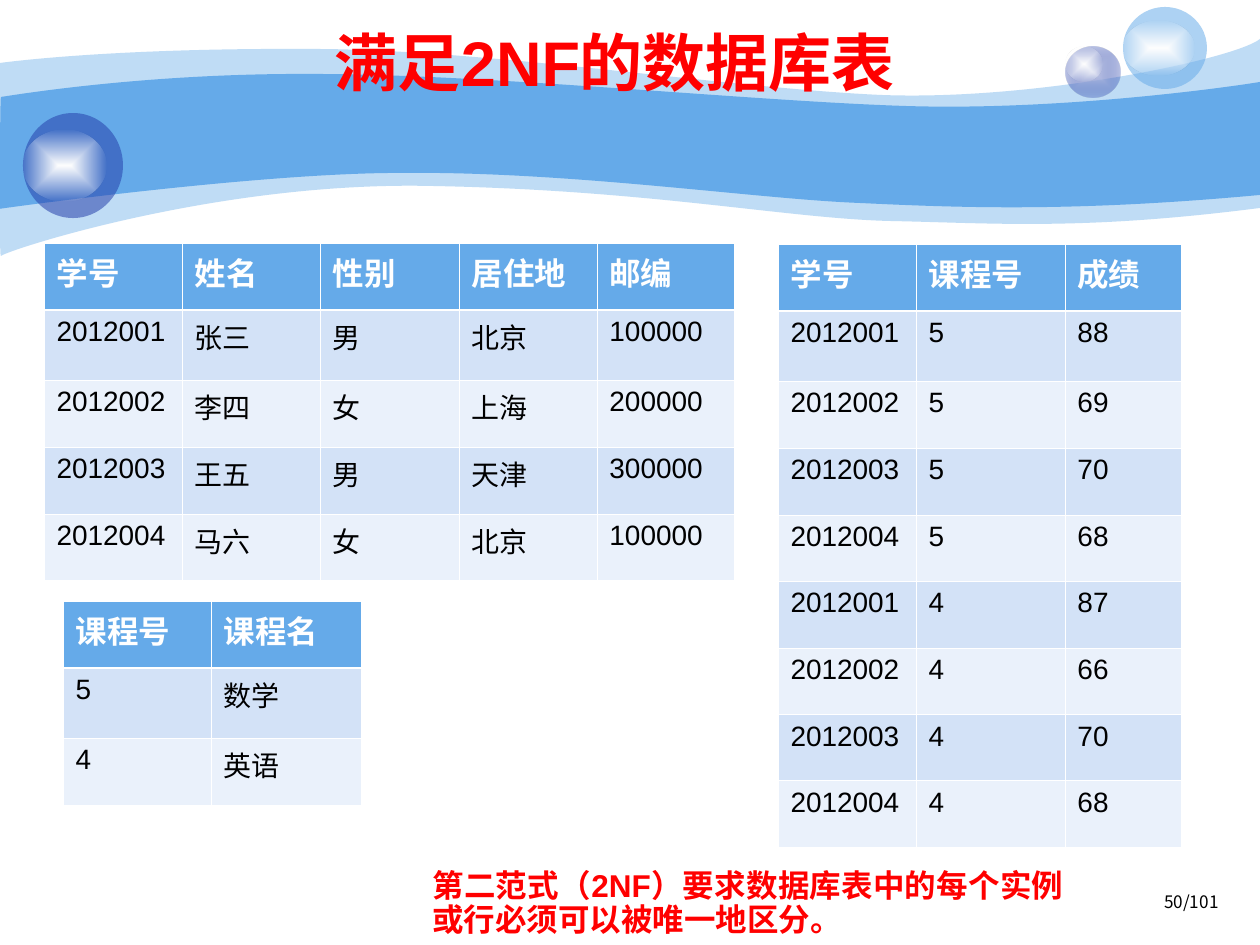
from itertools import cycle, islice

from lxml import etree
from pptx import Presentation
from pptx.dml.color import RGBColor
from pptx.enum.shapes import MSO_SHAPE as Shape
from pptx.enum.text import MSO_ANCHOR as Anchor, PP_ALIGN as Align
from pptx.oxml import parse_xml
from pptx.oxml.ns import nsdecls, qn
from pptx.util import Emu, Pt

SCALE = 914400 / 126  # EMU in one px
COLORS = {
    "sky": "65AAE9", "navy": "233DA9", "lilac": "C7CEE9", "white": "FFFFFF",
    "band_dark": "D3E2F7", "band_light": "EAF1FB", "red": "FF0000", "black": "000000",
}
CJK = "Noto Sans CJK SC"

TITLE = "满足2NF的数据库表"
NOTE = "第二范式（2NF）要求数据库表中的每个实例或行必须可以被唯一地区分。"
PAGE = "50/101"

STUDENTS = [
    ("学号", "姓名", "性别", "居住地", "邮编"),
    ("2012001", "张三", "男", "北京", "100000"),
    ("2012002", "李四", "女", "上海", "200000"),
    ("2012003", "王五", "男", "天津", "300000"),
    ("2012004", "马六", "女", "北京", "100000"),
]
COURSES = [("课程号", "课程名"), ("5", "数学"), ("4", "英语")]
SCORES = [
    ("学号", "课程号", "成绩"),
    ("2012001", "5", "88"), ("2012002", "5", "69"),
    ("2012003", "5", "70"), ("2012004", "5", "68"),
    ("2012001", "4", "87"), ("2012002", "4", "66"),
    ("2012003", "4", "70"), ("2012004", "4", "68"),
]
# Rows, left, top, column widths
TABLES = [
    (STUDENTS, 44, 243, [138, 138, 139, 138, 138]),
    (COURSES, 63, 601, [148, 150]),
    (SCORES, 778, 244, [138, 149, 116]),
]
HEADER_H, FIRST_H, ROW_HS = 67, 70, (67, 67, 66)

# Opacity, then the Bezier points of the upper edge and of the way back
WAVES = [
    (41,
     [(0, 63), (30, 59), (135, 48), (311, 49), (486, 49), (725, 88), (881, 95),
      (1036, 101), (1235, 59), (1260, 39)],
     [(1260, 208), (1081, 231), (992, 223), (888, 221), (784, 218), (649, 190),
      (432, 186), (217, 181), (5, 251), (1, 256), (-1, 262), (0, 95), (0, 63)]),
    (100,
     [(1, 97), (3, 97), (139, 73), (312, 74), (486, 74), (750, 101), (905, 106),
      (1060, 111), (1230, 87), (1260, 82)],
     [(1260, 195), (1075, 212), (964, 208), (859, 203), (755, 199), (569, 171),
      (399, 173), (256, 173), (-3, 209), (-1, 209), (0, 209), (0, 97), (1, 97)]),
]
# Ball box, its colour stops (colour, opacity), glow box
BALLS = [
    ((1066, 47, 54, 51), [("lilac", 100), ("navy", 31)], (1066, 47, 36, 35)),
    ((1123, 7, 84, 82), [("sky", 53)], (1123, 21, 71, 54)),
    ((23, 113, 100, 105), [("navy", 53)], (23, 130, 83, 71)),
]
GLOW = [("white", 100), ("white", 0)]


def px(*values):
    return [Emu(round(value * SCALE)) for value in values]


def rgb(color):
    return RGBColor.from_string(COLORS[color])


def paint(shape, stops):
    """Fill with one colour, or with a gradient from the centre outwards."""
    colors = [f'<a:srgbClr val="{COLORS[color]}"><a:alpha val="{opacity * 1000}"/></a:srgbClr>'
              for color, opacity in stops]
    if len(colors) == 1:
        xml = f'<a:solidFill {nsdecls("a")}>{colors[0]}</a:solidFill>'
    else:
        xml = (f'<a:gradFill {nsdecls("a")} rotWithShape="1"><a:gsLst>'
               f'<a:gs pos="0">{colors[0]}</a:gs><a:gs pos="100000">{colors[1]}</a:gs></a:gsLst>'
               '<a:path path="rect"><a:fillToRect l="50000" t="50000" r="50000" b="50000"/>'
               '</a:path></a:gradFill>')
    shape.shadow.inherit = False
    shape.line.fill.background()
    shape.fill.background()
    properties = shape.fill._xPr
    properties.replace(properties.find(qn("a:noFill")), parse_xml(xml))


def add_wave(shapes, upper, back):
    """Draw the outline through its control points, then bend each edge."""
    builder = shapes.build_freeform(*upper[0], scale=SCALE)
    builder.add_line_segments(upper[1:] + back, close=True)
    wave = builder.convert_to_shape()
    lines = list(wave._element.iter(qn("a:lnTo")))
    edge = len(upper) - 1
    for curved in (lines[:edge], lines[edge + 1:edge + len(back)]):
        for i in range(0, len(curved), 3):
            first, *others = curved[i:i + 3]
            bezier = etree.Element(qn("a:cubicBezTo"))
            first.addprevious(bezier)
            for line in (first, *others):
                bezier.append(line[0])
                line.getparent().remove(line)
    return wave


def write(frame, text, size, color, bold=False, font="Arial", align=Align.LEFT, spacing=None):
    frame.word_wrap = True
    paragraph = frame.paragraphs[0]
    paragraph.alignment = align
    paragraph.line_spacing = spacing
    run = paragraph.add_run()
    run.text = text
    run.font.size, run.font.bold, run.font.name = Pt(size), bold, font
    run.font.color.rgb = rgb(color)
    run._r.get_or_add_rPr().append(parse_xml(f'<a:ea {nsdecls("a")} typeface="{CJK}"/>'))


def add_borders(cell, **widths):
    for side in "LRTB":
        cell._tc.get_or_add_tcPr().append(parse_xml(
            f'<a:ln{side} {nsdecls("a")} w="{Pt(widths.get(side, 0.45))}"><a:solidFill>'
            f'<a:srgbClr val="{COLORS["white"]}"/></a:solidFill></a:ln{side}>'))


def add_data_table(slide, rows, left, top, widths):
    heights = [HEADER_H, FIRST_H, *islice(cycle(ROW_HS), len(rows) - 2)]
    table = slide.shapes.add_table(len(rows), len(widths),
                                   *px(left, top, sum(widths), sum(heights))).table
    for column, width in zip(table.columns, px(*widths)):
        column.width = width
    for r, (row, height) in enumerate(zip(rows, px(*heights))):
        table.rows[r].height = height
        fill = "sky" if r == 0 else "band_dark" if r % 2 else "band_light"
        thick = {0: {"B": 1.47}, 1: {"T": 1.47}}.get(r, {})
        for c, text in enumerate(row):
            cell = table.cell(r, c)
            add_borders(cell, **thick)
            cell.fill.solid()
            cell.fill.fore_color.rgb = rgb(fill)
            if r == 0:
                write(cell.text_frame, text, 18, "white", bold=True)
            else:
                write(cell.text_frame, text, 16, "black")


def main():
    prs = Presentation()
    prs.slide_width, prs.slide_height = px(1260, 945)
    slide = prs.slides.add_slide(prs.slide_layouts[6])
    shapes = slide.shapes

    # Wave background
    for opacity, upper, back in WAVES:
        paint(add_wave(shapes, upper, back), [("sky", opacity)])

    # Glossy balls
    for ball, stops, glow in BALLS:
        for box, colors in ((ball, stops), (glow, GLOW)):
            paint(shapes.add_shape(Shape.OVAL, *px(*box)), colors)

    # Title and page number
    title = shapes.add_textbox(*px(106, 22, 1018, 78)).text_frame
    title.vertical_anchor = Anchor.MIDDLE
    write(title, TITLE, 36, "red", bold=True, align=Align.CENTER)
    page = shapes.add_textbox(*px(937, 889, 294, 37)).text_frame
    write(page, PAGE, 9.8, "black", font=CJK, align=Align.RIGHT, spacing=0.8)

    # Tables
    for rows, left, top, widths in TABLES:
        add_data_table(slide, rows, left, top, widths)

    # Closing note
    note = shapes.add_textbox(*px(420, 864, 656, 81)).text_frame
    write(note, NOTE, 18, "red", bold=True, align=Align.JUSTIFY, spacing=0.9)

    prs.save("out.pptx")


if __name__ == "__main__":
    main()
